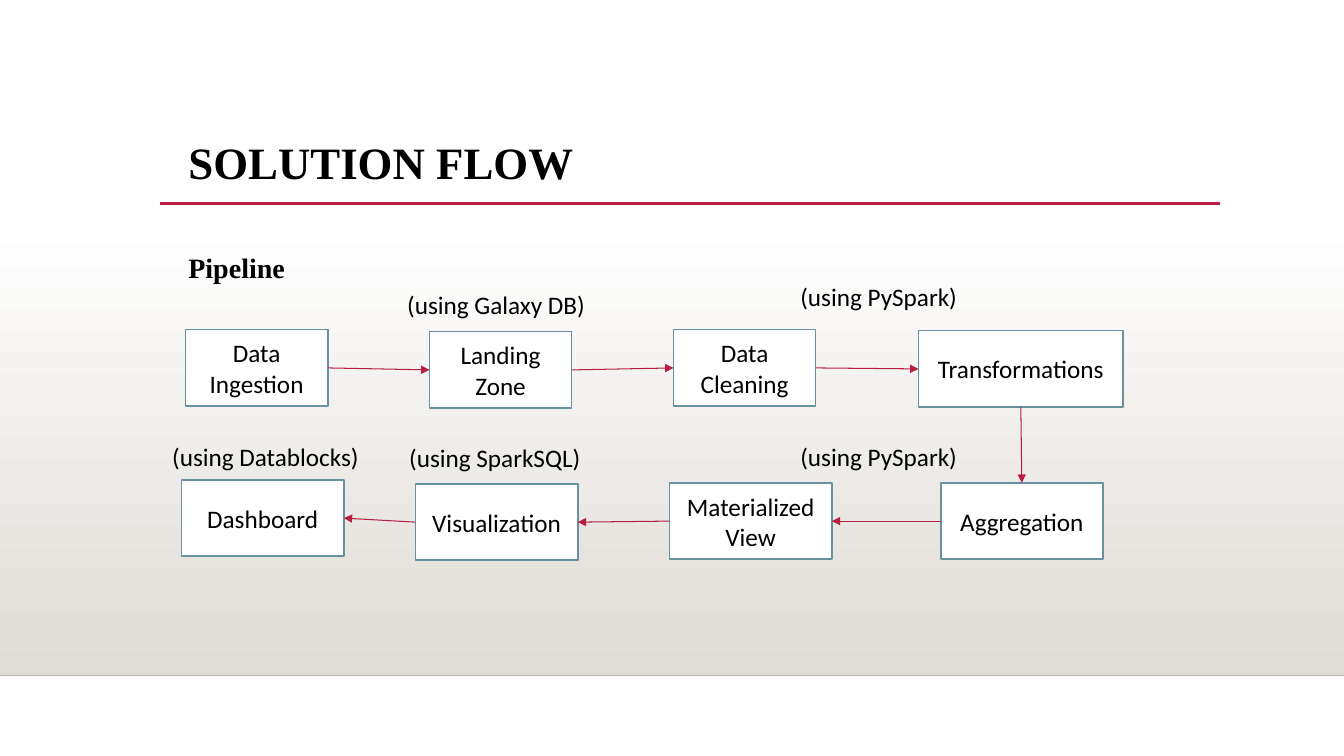
from lxml import etree
from pptx import Presentation, util as u
from pptx.dml.color import RGBColor
from pptx.enum import shapes, text
from pptx.oxml.ns import qn

WIDTH, HEIGHT = 13.33, 7.5
BLACK, WHITE, RED, TEAL, SAND, GREY = "000000", "FFFFFF", "B71E42", "6892A0", "DFDBD5", "B2AFAA"
SERIF, SANS = "Times New Roman", "Calibri"
FLOOR = 6.7
BOX_HEIGHT = 0.76

STEPS = [
    ("Data Ingestion", 1.84, 3.27, 1.41),
    ("Landing Zone", 4.26, 3.29, 1.41),
    ("Data Cleaning", 6.68, 3.27, 1.41),
    ("Transformations", 9.11, 3.28, 2.03),
    ("Aggregation", 9.33, 4.79, 1.61),
    ("Materialized View", 6.64, 4.79, 1.61),
    ("Visualization", 4.12, 4.8, 1.61),
    ("Dashboard", 1.8, 4.76, 1.61),
]
TOP, LEFT, BOTTOM, RIGHT = range(4)
JOINS = [(RIGHT, LEFT)] * 3 + [(BOTTOM, TOP)] + [(LEFT, RIGHT)] * 3
TOOLS = [
    ("(using PySpark)", 7.84, 2.74, 1.77),
    ("(using Galaxy DB)", 3.94, 2.82, 2.11),
    ("(using SparkSQL)", 3.96, 4.34, 1.92),
    ("(using PySpark)", 7.84, 4.33, 1.77),
    ("(using Datablocks)", 1.61, 4.33, 2.3),
]
RULES = [(0, WIDTH, FLOOR, GREY, 1), (1.59, 12.1, 2.02, RED, 2.5)]


def color(value):
    return RGBColor.from_string(value)


def inches(*lengths):
    return [u.Inches(length) for length in lengths]


def write(shape, words, size, font, bold=False):
    frame = shape.text_frame
    frame.text = words
    frame.word_wrap = True
    paragraph = frame.paragraphs[0]
    run_font = paragraph.runs[0].font
    run_font.size = u.Pt(size)
    run_font.name = font
    run_font.bold = bold
    run_font.color.rgb = color(BLACK)
    return paragraph


def add_text(slide, place, *style, **options):
    return write(slide.shapes.add_textbox(*inches(*place)), *style, **options)


def add_line(slide, ends, line_color, width):
    line = slide.shapes.add_connector(shapes.MSO_CONNECTOR.STRAIGHT, *inches(*ends))
    line.line.color.rgb = color(line_color)
    line.line.width = u.Pt(width)
    etree.SubElement(line._element.spPr, qn("a:effectLst"))
    return line


def add_rectangle(slide, *place):
    rectangle = slide.shapes.add_shape(shapes.MSO_SHAPE.RECTANGLE, *inches(*place))
    rectangle.shadow.inherit = False
    return rectangle


def add_backdrop(slide):
    backdrop = add_rectangle(slide, 0, 2.21, WIDTH, FLOOR - 2.21)
    backdrop.line.fill.background()
    backdrop.fill.gradient()
    backdrop.fill.gradient_angle = 270
    for stop, shade in zip(backdrop.fill.gradient_stops, (WHITE, SAND)):
        stop.color.rgb = color(shade)
    for left, right, height, shade, width in RULES:
        add_line(slide, (left, height, right, height), shade, width)


def add_step(slide, words, left, top, width):
    box = add_rectangle(slide, left, top, width, BOX_HEIGHT)
    box.fill.solid()
    box.fill.fore_color.rgb = color(WHITE)
    box.line.color.rgb = color(TEAL)
    box.line.width = u.Pt(1.25)
    box.text_frame.vertical_anchor = text.MSO_ANCHOR.MIDDLE
    write(box, words, 18, SANS).alignment = text.PP_ALIGN.CENTER
    return box


def add_arrow(slide, start, end, sides):
    arrow = add_line(slide, (0, 0, 1, 1), RED, 0.75)
    arrow.begin_connect(start, sides[0])
    arrow.end_connect(end, sides[1])
    etree.SubElement(arrow.line._get_or_add_ln(), qn("a:tailEnd"), type="triangle")


def main():
    presentation = Presentation()
    presentation.slide_width, presentation.slide_height = inches(WIDTH, HEIGHT)
    slide = presentation.slides.add_slide(presentation.slide_layouts[6])
    add_backdrop(slide)

    title = slide.shapes.add_textbox(*inches(1.77, 0.96, 9.8, 0.97))
    title.text_frame.vertical_anchor = text.MSO_ANCHOR.BOTTOM
    write(title, "SOLUTION FLOW", 32, SERIF, bold=True).line_spacing = 0.9

    heading = add_text(slide, (1.77, 2.37, 9.8, 3.75), "Pipeline", 20, SERIF, bold=True)
    heading.line_spacing = 1.2
    heading.space_before = u.Pt(10)

    boxes = [add_step(slide, *step) for step in STEPS]
    for start, end, sides in zip(boxes, boxes[1:], JOINS):
        add_arrow(slide, start, end, sides)
    for words, left, top, width in TOOLS:
        add_text(slide, (left, top, width, 0.4), words, 18, SANS)

    presentation.save("out.pptx")


if __name__ == "__main__":
    main()
